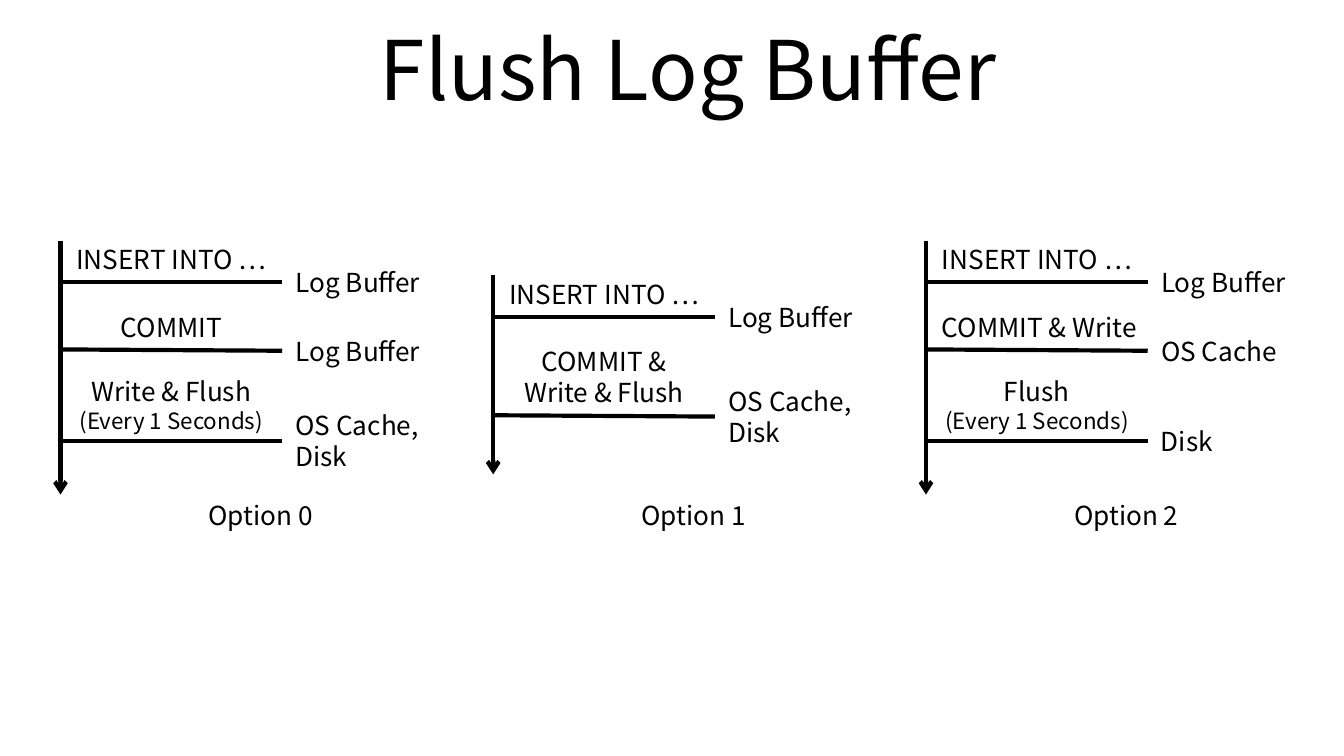
from lxml.etree import SubElement
from pptx import Presentation
from pptx.dml.color import RGBColor
from pptx.enum.shapes import MSO_CONNECTOR
from pptx.enum.text import MSO_ANCHOR as Anchor, MSO_AUTO_SIZE, PP_ALIGN as Align
from pptx.oxml.ns import qn
from pptx.util import Inches, Pt

COLORS = {"ink": "000000", "background": "FFFFFF"}
FONT = "Noto Sans CJK KR"
INK = RGBColor.from_string(COLORS["ink"])

SLIDE_WIDTH = 10
SLIDE_HEIGHT = SLIDE_WIDTH * 9 / 16
LEFT, COLUMN = 0.45, 3.22
STEP_WIDTH = 1.65
TARGET_WIDTH, LAST_TARGET_WIDTH = 1.18, 1.34
CAPTION_MIDDLE = 3.83

# Each option: timeline top and bottom, then steps of
# (row, action, target, extra width left and right of the action)
OPTIONS = [
    (1.79, 3.68, [
        (2.10, "INSERT INTO …", "Log Buffer", (0, 0)),
        (2.60, "COMMIT", "Log Buffer", (0, 0)),
        (3.28, "Write & Flush\n(Every 1 Seconds)", "OS Cache,\nDisk", (0, 0)),
    ]),
    (2.05, 3.53, [
        (2.36, "INSERT INTO …", "Log Buffer", (0, 0)),
        (3.09, "COMMIT &\nWrite & Flush", "OS Cache,\nDisk", (0, 0)),
    ]),
    (1.79, 3.68, [
        (2.10, "INSERT INTO …", "Log Buffer", (0, 0)),
        (2.60, "COMMIT & Write", "OS Cache", (0.06, 0.1)),
        (3.28, "Flush\n(Every 1 Seconds)", "Disk", (0, 0)),
    ]),
]


def add_label(shapes, text, left, width, align, bottom=None, middle=None):
    """Add a text box that ends at bottom or is centred on middle."""
    sizes = [12 if line.startswith("(") else 14 for line in text.split("\n")]
    height = 0.1 + 0.0168 * sum(sizes)
    top = bottom - height if middle is None else middle - height / 2
    box = shapes.add_textbox(Inches(left), Inches(top), Inches(width), Inches(height))
    frame = box.text_frame
    frame.text = text
    frame.word_wrap = True
    frame.auto_size = MSO_AUTO_SIZE.SHAPE_TO_FIT_TEXT
    frame.vertical_anchor = Anchor.TOP if middle is None else Anchor.MIDDLE
    for paragraph, size in zip(frame.paragraphs, sizes):
        paragraph.alignment = align
        for run in paragraph.runs:
            run.font.size = Pt(size)
            run.font.name = FONT
            run.font.color.rgb = INK
            SubElement(run.font._element, qn("a:ea"), typeface=FONT)


def add_line(shapes, x1, y1, x2, y2, arrow=False):
    line = shapes.add_connector(
        MSO_CONNECTOR.STRAIGHT, Inches(x1), Inches(y1), Inches(x2), Inches(y2))
    line.line.color.rgb = INK
    line.line.width = Pt(2.25)
    if arrow:
        SubElement(line.get_or_add_ln(), qn("a:tailEnd"), type="arrow")
    SubElement(line._element.spPr, qn("a:effectLst"))


presentation = Presentation()
presentation.slide_width = Inches(SLIDE_WIDTH)
presentation.slide_height = Inches(SLIDE_HEIGHT)
slide = presentation.slides.add_slide(presentation.slide_layouts[5])
slide.background.fill.solid()
slide.background.fill.fore_color.rgb = RGBColor.from_string(COLORS["background"])

title = slide.shapes.title
title.left, title.top = Inches(0.62), Inches(0.03)
title.width, title.height = Inches(9), Inches(0.94)
title.text_frame.text = "Flush Log Buffer"
title.text_frame.vertical_anchor = Anchor.MIDDLE
title_paragraph = title.text_frame.paragraphs[0]
title_paragraph.alignment = Align.CENTER
title_font = title_paragraph.runs[0].font
title_font.size = Pt(44)
title_font.name = FONT
title_font.color.rgb = INK

for number, (top, bottom, steps) in enumerate(OPTIONS):
    left = LEFT + number * COLUMN
    right = left + STEP_WIDTH
    timeline = slide.shapes.add_group_shape().shapes
    add_line(timeline, left, top, left, bottom, arrow=True)

    for index, (row, action, target, (extra_left, extra_right)) in enumerate(steps):
        slope = 0.01 if index == 1 else 0
        add_line(timeline, left, row, right, row + slope)
        add_label(timeline, action, left - extra_left,
                  STEP_WIDTH + extra_left + extra_right, Align.CENTER, bottom=row)
        target_width = LAST_TARGET_WIDTH if index == 2 else TARGET_WIDTH
        add_label(timeline, target, right, target_width, Align.LEFT, middle=row + slope)

    add_label(slide.shapes, f"Option {number}", left + 0.9, TARGET_WIDTH,
              Align.CENTER, middle=CAPTION_MIDDLE)

presentation.save("out.pptx")
